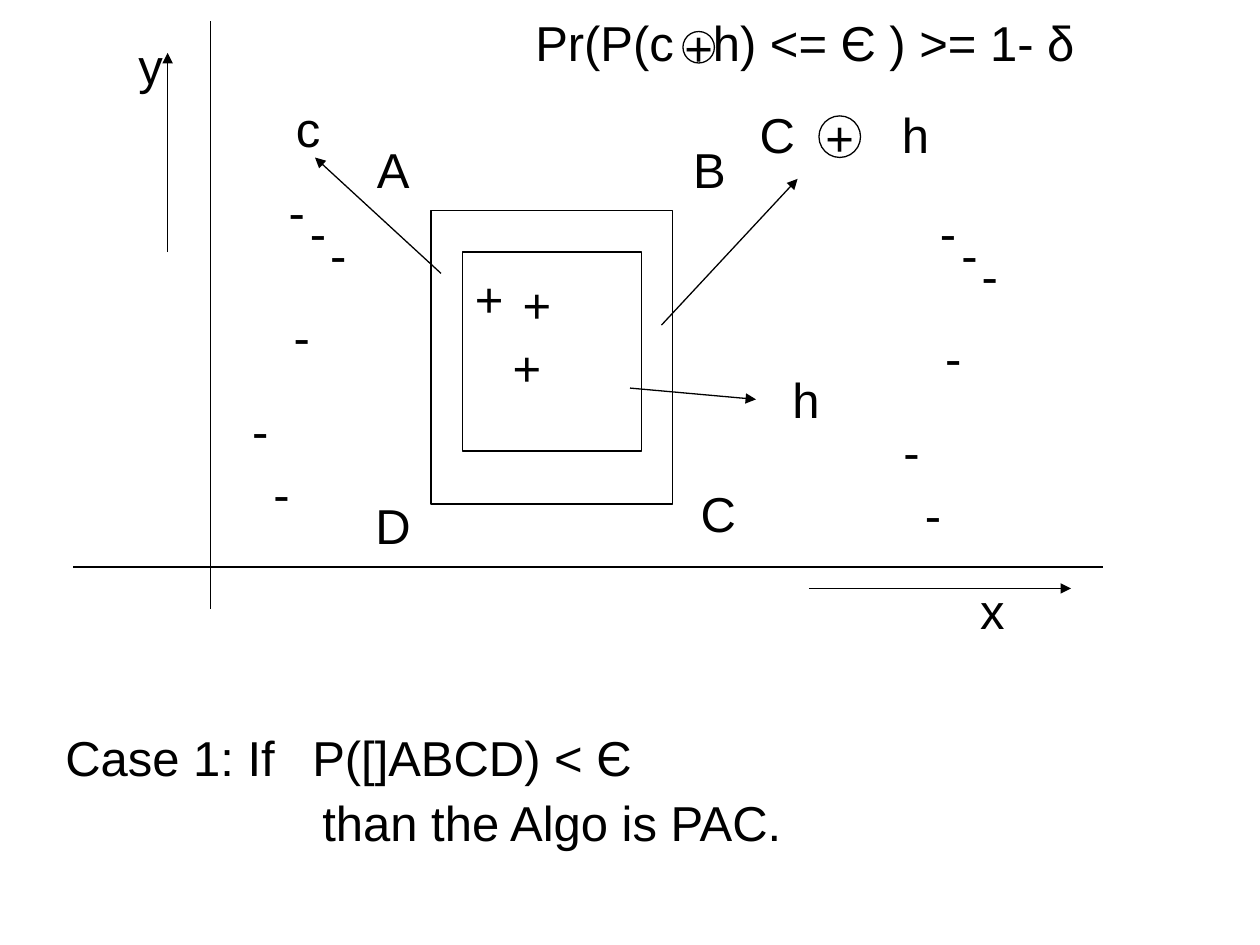
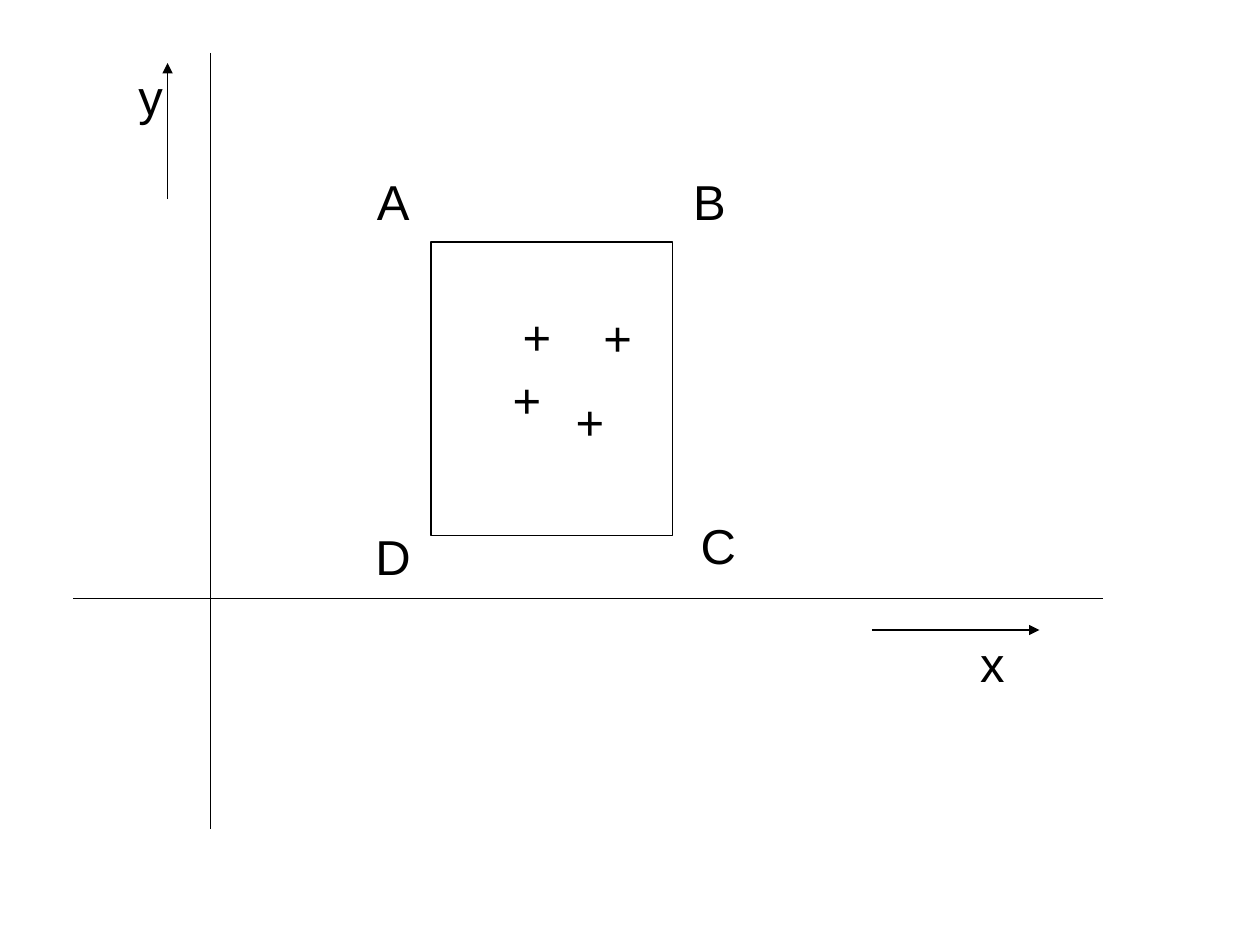
"""Build two slides on learning an axis-aligned rectangle ABCD."""
from typing import NamedTuple

from lxml.etree import SubElement
from pptx import Presentation
from pptx.dml.color import RGBColor
from pptx.enum.shapes import MSO_CONNECTOR, MSO_SHAPE
from pptx.enum.text import MSO_ANCHOR, MSO_AUTO_SIZE, PP_ALIGN as AL
from pptx.oxml.ns import qn
from pptx.util import Inches, Pt

INK = "000000"
FONT = {"name": "Arial", "size": Pt(28)}
LINE_WIDTH = Pt(0.75)
LABEL_HEIGHT = 0.57
LABEL_WIDTHS = {"A": 0.46, "B": 0.46, "C": 0.48, "D": 0.48, "+": 0.42,
                "-": 0.33, "x": 0.39, "y": 0.39, "c": 0.39, "h": 0.41}
SECOND_DROP = 0.25


class Label(NamedTuple):
    """A one-letter mark and its top left corner."""
    text: str
    x: float
    y: float


class Stroke(NamedTuple):
    """A straight line, with an arrowhead at its end if asked."""
    x1: float
    y1: float
    x2: float
    y2: float
    arrow: bool = False


class Outline(NamedTuple):
    """An unfilled preset shape with optional text."""
    kind: MSO_SHAPE
    x: float
    y: float
    w: float
    h: float
    text: str = ""


class TextLine(NamedTuple):
    """A line of text with an indent and a tab stop."""
    text: str
    indent: float = 0
    tab: float = 0


CORNERS = [Label("A", 2.89, 1.06), Label("B", 5.4, 1.06),
           Label("D", 2.88, 3.88), Label("C", 5.46, 3.79)]
SHARED_PLUSES = [Label("+", 4.05, 2.13), Label("+", 3.97, 2.63)]
TARGET = Outline(MSO_SHAPE.RECTANGLE, 3.42, 1.67, 1.92, 2.33)
HYPOTHESIS = Outline(MSO_SHAPE.RECTANGLE, 3.67, 2, 1.42, 1.58)
XOR_SIGNS = [Outline(MSO_SHAPE.OVAL, 5.42, 0.25, 0.25, 0.25, "+"),
             Outline(MSO_SHAPE.OVAL, 6.5, 0.92, 0.33, 0.33, "+")]
LEFT_MINUSES = [(2.19, 1.39), (2.36, 1.56), (2.52, 1.73),
                (2.23, 2.38), (1.9, 3.13), (2.07, 3.63)]
MINUS_SHIFTS = [(0, 0), (5.17, 0.17)]
POINTERS = [Stroke(3.5, 2.17, 2.5, 1.25, True),
            Stroke(5, 3.08, 6, 3.17, True),
            Stroke(5.25, 2.58, 6.33, 1.42, True)]
CASE_LINES = [TextLine("Case 1: If\tP([]ABCD) < Є", tab=1.96),
              TextLine("than the Algo is PAC.", indent=2.04)]


def rgb(value: str) -> RGBColor:
    """Turn a hex string into a colour."""
    return RGBColor.from_string(value)


def add_run(p, text: str) -> None:
    """Add text in the shared font."""
    r = p.add_run()
    r.text = text
    for name, value in FONT.items():
        setattr(r.font, name, value)
    r.font.color.rgb = rgb(INK)


def draw_label(slide, label: Label) -> None:
    """Draw a centred mark."""
    sp = slide.shapes.add_textbox(
        Inches(label.x), Inches(label.y),
        Inches(LABEL_WIDTHS[label.text]), Inches(LABEL_HEIGHT))
    tf = sp.text_frame
    for name, value in {"word_wrap": False,
                        "auto_size": MSO_AUTO_SIZE.SHAPE_TO_FIT_TEXT}.items():
        setattr(tf, name, value)
    p = tf.paragraphs[0]
    p.alignment = AL.CENTER
    add_run(p, label.text)


def draw_stroke(slide, stroke: Stroke) -> None:
    """Draw a straight line or arrow."""
    ends = [Inches(v) for v in stroke[:4]]
    cx = slide.shapes.add_connector(MSO_CONNECTOR.STRAIGHT, *ends)
    cx.line.width = LINE_WIDTH
    cx.line.color.rgb = rgb(INK)
    if stroke.arrow:
        SubElement(cx.line._get_or_add_ln(), qn("a:tailEnd"), type="triangle")
    SubElement(cx._element.spPr, qn("a:effectLst"))


def draw_outline(slide, outline: Outline) -> None:
    """Draw an unfilled shape."""
    box = [Inches(v) for v in outline[1:5]]
    sp = slide.shapes.add_shape(outline.kind, *box)
    sp.shadow.inherit = False
    sp.fill.background()
    sp.line.color.rgb = rgb(INK)
    sp.line.width = LINE_WIDTH
    if outline.text:
        tf = sp.text_frame
        tf.word_wrap = False
        tf.vertical_anchor = MSO_ANCHOR.MIDDLE
        p = tf.paragraphs[0]
        p.alignment = AL.CENTER
        add_run(p, outline.text)


def draw_text(slide, x: float, y: float, w: float, h: float,
              lines: list[TextLine], spacing: float = 1) -> None:
    """Draw left-aligned lines with indents and tab stops."""
    tf = slide.shapes.add_textbox(
        Inches(x), Inches(y), Inches(w), Inches(h)).text_frame
    tf.word_wrap = True
    for i, line in enumerate(lines):
        p = tf.add_paragraph() if i else tf.paragraphs[0]
        p.alignment = AL.LEFT
        p.line_spacing = spacing
        if i:
            p.space_before = Pt(7)
        pPr = p._p.get_or_add_pPr()
        if line.indent:
            pPr.set("marL", str(Inches(line.indent)))
        if line.tab:
            tabs = SubElement(pPr, qn("a:tabLst"))
            SubElement(tabs, qn("a:tab"), pos=str(Inches(line.tab)), algn="l")
        add_run(p, line.text)


def draw_plot(slide, drop: float, labels: list[Label],
              strokes: list[Stroke]) -> None:
    """Draw the shared rectangle and axes, moved down, plus extra parts."""
    draw_outline(slide, TARGET._replace(y=TARGET.y + drop))
    moved = [m._replace(y=m.y + drop)
             for m in CORNERS + SHARED_PLUSES + [Label("y", 1, 0.23)]]
    for label in moved + labels:
        draw_label(slide, label)
    x_axis = Stroke(0.58, 4.5 + drop, 8.75, 4.5 + drop)
    for stroke in [x_axis] + strokes:
        draw_stroke(slide, stroke)


def build_case_slide(prs) -> None:
    """Build the slide with the target, the hypothesis and case 1."""
    slide = prs.slides.add_slide(prs.slide_layouts[6])
    minuses = [Label("-", x + dx, y + dy)
               for dx, dy in MINUS_SHIFTS for x, y in LEFT_MINUSES]
    labels = [Label("+", 3.67, 2.08), Label("x", 7.68, 4.56),
              Label("c", 2.25, 0.73), Label("h", 6.19, 2.88)]
    axes = [Stroke(1.67, 0.17, 1.67, 4.83),
            Stroke(1.33, 2, 1.33, 0.42, True),
            Stroke(6.42, 4.67, 8.5, 4.67, True)]
    draw_plot(slide, 0, labels + minuses, axes + POINTERS)
    draw_text(slide, 4.15, 0.05, 4.8, LABEL_HEIGHT,
              [TextLine("Pr(P(c\th) <= Є ) >= 1- δ", tab=1.41)])
    draw_text(slide, 5.93, 0.78, 1.7, LABEL_HEIGHT,
              [TextLine("C\th", tab=1.13)])
    draw_text(slide, 0.42, 5.78, 8.08, 0.97, CASE_LINES, 0.9)
    for outline in [HYPOTHESIS] + XOR_SIGNS:
        draw_outline(slide, outline)


def build_target_slide(prs) -> None:
    """Build the slide with the target rectangle alone."""
    slide = prs.slides.add_slide(prs.slide_layouts[6])
    labels = [Label("+", 4.69, 2.39), Label("+", 4.47, 3.06),
              Label("x", 7.68, 4.98)]
    axes = [Stroke(1.67, 0.42, 1.67, 6.58),
            Stroke(1.33, 1.58, 1.33, 0.5, True),
            Stroke(6.92, 5, 8.25, 5, True)]
    draw_plot(slide, SECOND_DROP, labels, axes)


def main() -> None:
    """Build and save the slides."""
    prs = Presentation()
    prs.slide_width, prs.slide_height = Inches(10), Inches(7.5)
    build_case_slide(prs)
    build_target_slide(prs)
    prs.save("out.pptx")


if __name__ == "__main__":
    main()
